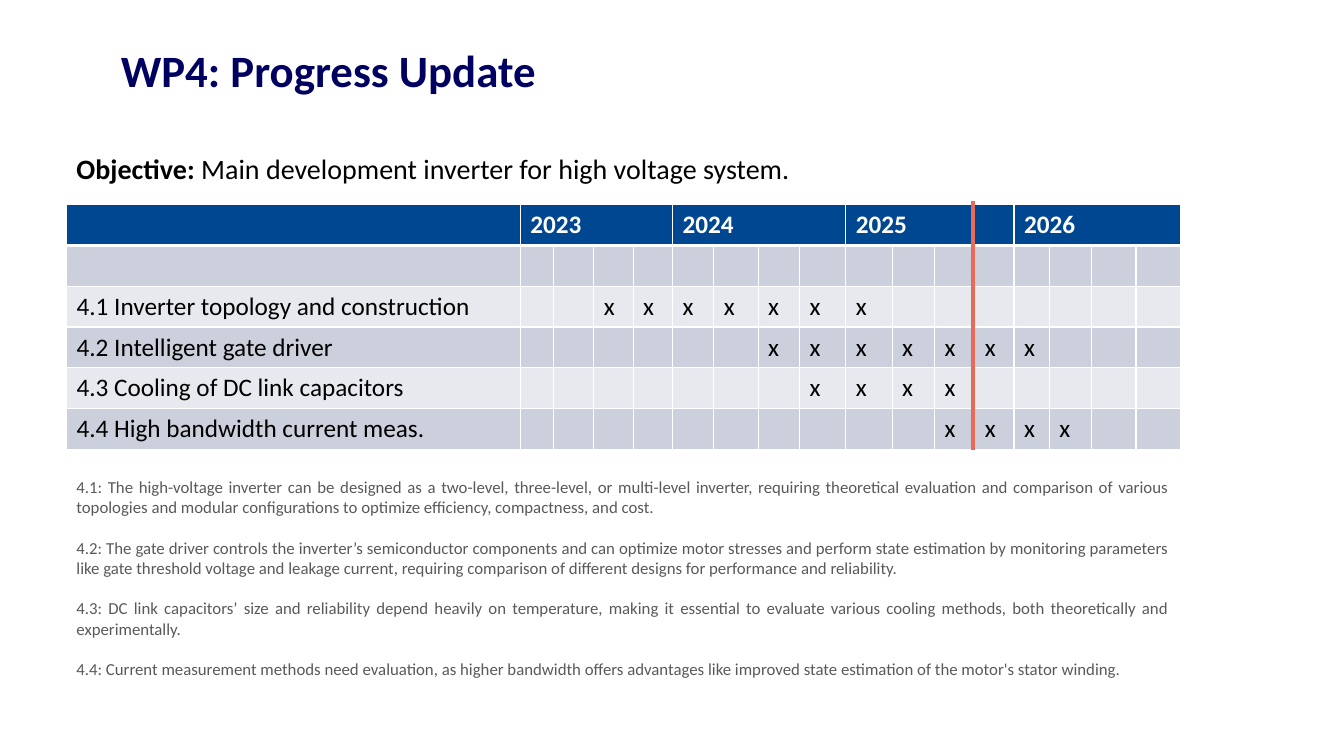
from lxml import etree
from pptx import Presentation
from pptx.dml.color import RGBColor
from pptx.enum.shapes import MSO_CONNECTOR as LINE
from pptx.enum.text import MSO_ANCHOR as ANCHOR, PP_ALIGN as ALIGN
from pptx.oxml.ns import qn
from pptx.util import Inches, Pt

FONT = "Calibri"
NAVY = RGBColor(0x00, 0x00, 0x61)
BLUE = RGBColor(0x00, 0x47, 0x91)
DARK = RGBColor(0xCC, 0xCF, 0xDC)
LIGHT = RGBColor(0xE7, 0xE9, 0xEE)
WHITE = RGBColor(0xFF, 0xFF, 0xFF)
BLACK = RGBColor(0x00, 0x00, 0x00)
GRAY = RGBColor(0x59, 0x59, 0x59)
RED = RGBColor(0xE8, 0x6A, 0x58)

YEARS = ["2023", "2024", "2025", "2026"]
QUARTERS = 4
NAME_W = 4.5
QUARTER_W = [0.33, 0.4, 0.39, 0.39, 0.41, 0.44, 0.41, 0.46,
             0.46, 0.42, 0.4, 0.39, 0.35, 0.42, 0.44, 0.44]
# Task name, first and last active quarter (counted from 1)
TASKS = [
    ("4.1 Inverter topology and construction", 3, 9),
    ("4.2 Intelligent gate driver", 7, 13),
    ("4.3 Cooling of DC link capacitors", 8, 11),
    ("4.4 High bandwidth current meas.", 11, 14),
]
NOTES = [
    "4.1: The high-voltage inverter can be designed as a two-level, "
    "three-level, or multi-level inverter, requiring theoretical evaluation "
    "and comparison of various topologies and modular configurations to "
    "optimize efficiency, compactness, and cost.",
    "4.2: The gate driver controls the inverter’s semiconductor components "
    "and can optimize motor stresses and perform state estimation by "
    "monitoring parameters like gate threshold voltage and leakage current, "
    "requiring comparison of different designs for performance and "
    "reliability.",
    "4.3: DC link capacitors’ size and reliability depend heavily on "
    "temperature, making it essential to evaluate various cooling methods, "
    "both theoretically and experimentally.",
    "4.4: Current measurement methods need evaluation, as higher bandwidth "
    "offers advantages like improved state estimation of the motor's stator "
    "winding.",
]


def add_run(para, text, size, color, bold=False):
    run = para.add_run()
    run.text = text
    run.font.name = FONT
    run.font.size = Pt(size)
    run.font.bold = bold
    run.font.color.rgb = color


def add_box(slide, x, y, w, h):
    """Add a wrapping text box and return its text frame."""
    box = slide.shapes.add_textbox(Inches(x), Inches(y), Inches(w), Inches(h))
    box.text_frame.word_wrap = True
    return box.text_frame


def add_title(slide, x, y, w, h):
    frame = add_box(slide, x, y, w, h)
    frame.vertical_anchor = ANCHOR.MIDDLE
    frame.margin_top = Inches(0.12)
    para = frame.paragraphs[0]
    para.line_spacing = 0.9
    add_run(para, "WP4: Progress Update", 32, NAVY, True)


def add_goal(slide, x, y, w, h):
    para = add_box(slide, x, y, w, h).paragraphs[0]
    para.line_spacing = 0.9
    add_run(para, "Objective: ", 20, BLACK, True)
    add_run(para, "Main development inverter for high voltage system.",
            20, BLACK)


def style_cell(cell, fill, top=1, bottom=1):
    """Give a cell white borders (widths in points) and a solid fill."""
    props = cell._tc.get_or_add_tcPr()
    for tag, width in (("lnL", 1), ("lnR", 1), ("lnT", top), ("lnB", bottom)):
        line = etree.SubElement(props, qn(f"a:{tag}"), w=str(Pt(width)))
        solid = etree.SubElement(line, qn("a:solidFill"))
        etree.SubElement(solid, qn("a:srgbClr"), val=str(WHITE))
    cell.fill.solid()
    cell.fill.fore_color.rgb = fill


def add_plan(slide, x, y, w, h):
    """Add the schedule: years, an empty row, then one row per task."""
    rows, cols = len(TASKS) + 2, len(QUARTER_W) + 1
    table = slide.shapes.add_table(
        rows, cols, Inches(x), Inches(y), Inches(w), Inches(h)).table
    table.first_row = table.horz_banding = False
    for col, width in zip(table.columns, [NAME_W] + QUARTER_W):
        col.width = Inches(width)
    for r, row in enumerate(table.rows):
        row.height = Inches(h / rows)
        fill = BLUE if r == 0 else DARK if r % 2 else LIGHT
        for cell in row.cells:
            style_cell(cell, fill, 3 if r == 1 else 1, 3 if r == 0 else 1)

    for i, year in enumerate(YEARS):
        first = 1 + i * QUARTERS
        cell = table.cell(0, first)
        cell.merge(table.cell(0, first + QUARTERS - 1))
        add_run(cell.text_frame.paragraphs[0], year, 18, WHITE, True)
    for r, (name, start, end) in enumerate(TASKS, 2):
        marks = [(c, "x") for c in range(start, end + 1)]
        for c, text in [(0, name)] + marks:
            para = table.cell(r, c).text_frame.paragraphs[0]
            add_run(para, text, 18, BLACK)


def add_notes(slide, x, y, w, h):
    frame = add_box(slide, x, y, w, h)
    for i, note in enumerate(NOTES):
        para = frame.add_paragraph() if i else frame.paragraphs[0]
        para.alignment = ALIGN.JUSTIFY
        if i:
            para.space_before = Pt(14.6)
        add_run(para, note, 12, GRAY)


def add_today(slide, x, top, bottom):
    """Add the vertical line that marks the present date."""
    line = slide.shapes.add_connector(
        LINE.STRAIGHT, Inches(x), Inches(top), Inches(x), Inches(bottom))
    line.line.color.rgb = RED
    line.line.width = Pt(2.25)
    etree.SubElement(line._element.spPr, qn("a:effectLst"))


def main():
    prs = Presentation()
    prs.slide_width, prs.slide_height = Inches(13.33), Inches(7.5)
    slide = prs.slides.add_slide(prs.slide_layouts[6])
    left, width = 0.66, 11.04
    add_title(slide, 1.1, 0.36, 11.57, 0.65)
    add_goal(slide, left, 1.49, 12.02, 0.45)
    add_plan(slide, left, 2.03, width, 2.43)
    add_notes(slide, left, 4.68, width, 2.32)
    add_today(slide, 9.65, 1.99, 4.46)
    prs.save("out.pptx")


if __name__ == "__main__":
    main()
